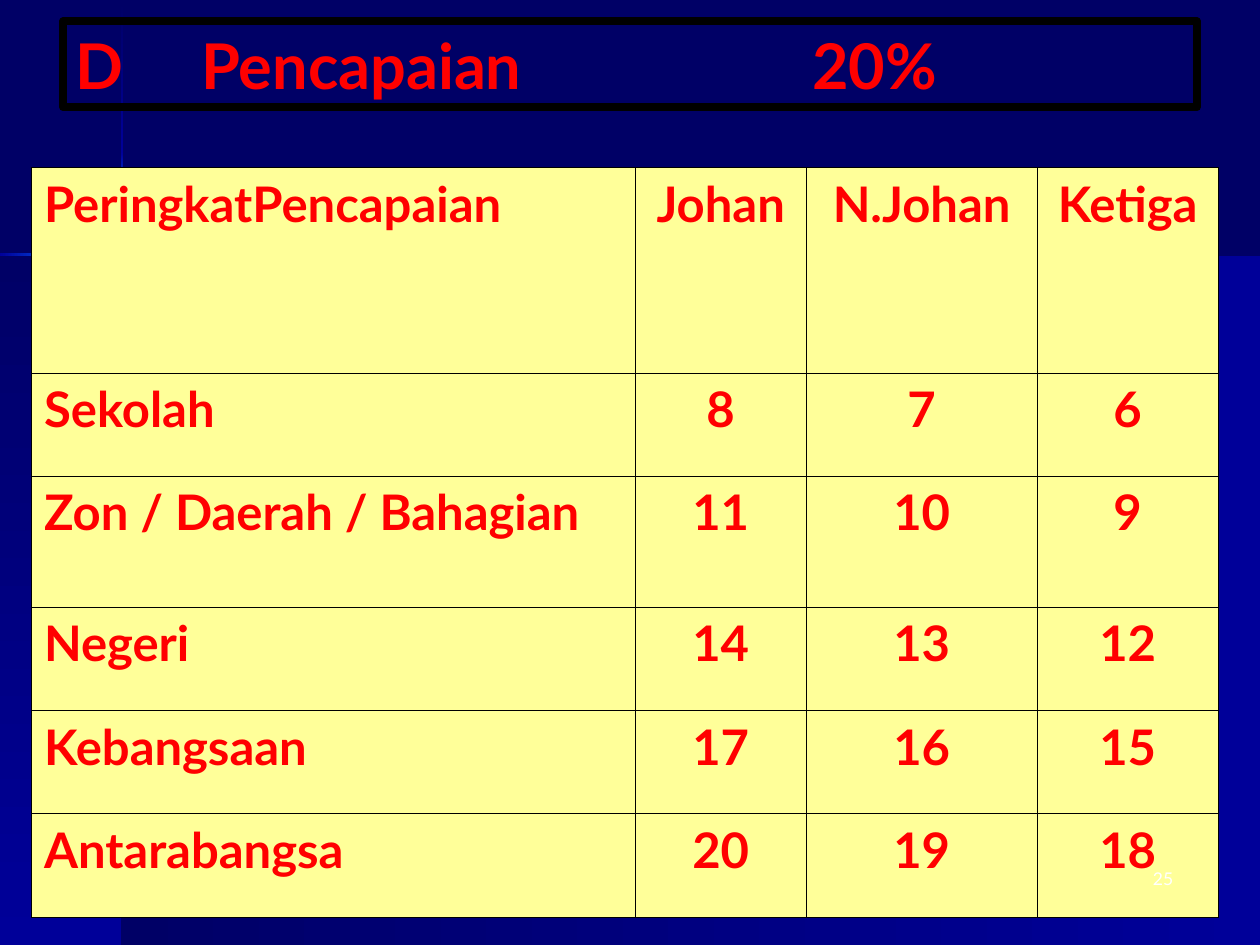
from dataclasses import dataclass

from lxml import etree
from pptx import Presentation
from pptx.dml.color import RGBColor
from pptx.enum.shapes import MSO_SHAPE
from pptx.enum.text import MSO_ANCHOR, PP_ALIGN
from pptx.oxml.ns import qn
from pptx.util import Inches, Pt

RECT = MSO_SHAPE.RECTANGLE
LEFT, CENTER, RIGHT = PP_ALIGN.LEFT, PP_ALIGN.CENTER, PP_ALIGN.RIGHT
MIDDLE = MSO_ANCHOR.MIDDLE
ACROSS, DOWN = 0, 90


@dataclass(frozen=True)
class Theme:
    font: str = "Lato"
    navy: str = "000066"
    blue: str = "000099"
    glow: str = "0066FF"
    spark: str = "FFFFCC"
    red: str = "FF0000"
    cream: str = "FFFF99"
    black: str = "000000"
    white: str = "FFFFFF"
    title: float = 36
    body: float = 28
    small: float = 10


THEME = Theme()

COLS = (4.79, 1.36, 1.83, 1.44)
ROWS = (1.63, 0.82, 1.04, 0.82, 0.82, 0.82)
SCORES = (
    ("PeringkatPencapaian", "Johan", "N.Johan", "Ketiga"),
    ("Sekolah", "8", "7", "6"),
    ("Zon / Daerah / Bahagian", "11", "10", "9"),
    ("Negeri", "14", "13", "12"),
    ("Kebangsaan", "17", "16", "15"),
    ("Antarabangsa", "20", "19", "18"),
)


def rgb(code):
    return RGBColor.from_string(code)


def add_node(parent, tag, **attrs):
    return etree.SubElement(parent, qn(tag), attrs)


def add_run(para, text, size, color, bold=True):
    run = para.add_run()
    run.text = text
    font = run.font
    font.name, font.size, font.bold = THEME.font, Pt(size), bold
    font.color.rgb = rgb(color)


def add_fade(slide, box, colors, angle):
    """Add a rectangle whose colours run evenly along the angle."""
    shape = slide.shapes.add_shape(RECT, *map(Inches, box))
    shape.shadow.inherit = False
    shape.line.fill.background()
    shape.fill.gradient()
    grad = shape.element.spPr.find(qn("a:gradFill"))
    for child in list(grad):
        grad.remove(child)
    stops = add_node(grad, "a:gsLst")
    for i, color in enumerate(colors):
        place = 100000 * i // (len(colors) - 1)
        stop = add_node(stops, "a:gs", pos=str(place))
        add_node(stop, "a:srgbClr", val=color)
    add_node(grad, "a:lin", ang=str(angle * 60000), scaled="0")


def add_backdrop(slide):
    t = THEME
    rise, fall = (t.navy, t.blue), (t.blue, t.navy)
    flare, fade = (t.blue, t.glow), (t.glow, t.blue)
    shine = (t.glow, t.spark, t.glow)
    add_fade(slide, (0.97, 2.02, 9.03, 5.48), rise, ACROSS)
    add_fade(slide, (0, 2.02, 0.97, 5.48), rise, DOWN)
    upright = ((0.01, 1.21, rise), (2.82, 4.68, fall), (2.38, 0.44, fade),
               (1.21, 0.44, flare), (1.65, 0.73, shine))
    for top, height, colors in upright:
        add_fade(slide, (0.96, top, 0.02, height), colors, DOWN)
    level = ((1.77, 8.23, fall), (0, 0.61, flare),
             (1.33, 0.44, fade), (0.6, 0.73, shine))
    for left, width, colors in level:
        add_fade(slide, (left, 2.01, width, 0.02), colors, ACROSS)


def add_title(slide):
    shape = slide.shapes.add_shape(RECT, *map(Inches, (0.5, 0.17, 9, 0.68)))
    shape.shadow.inherit = False
    shape.fill.background()
    shape.line.color.rgb = rgb(THEME.black)
    shape.line.width = Pt(4.5)
    frame = shape.text_frame
    frame.word_wrap = True
    frame.vertical_anchor = MIDDLE
    para = frame.paragraphs[0]
    para.alignment = LEFT
    tabs = add_node(para._p.get_or_add_pPr(), "a:tabLst")
    for stop in (1, 5.85):
        add_node(tabs, "a:tab", pos=str(Inches(stop)), algn="l")
    add_run(para, "D\tPencapaian\t20%", THEME.title, THEME.red)


def add_edges(cell):
    props = cell._tc.get_or_add_tcPr()
    for i, side in enumerate(("a:lnL", "a:lnR", "a:lnT", "a:lnB")):
        line = etree.Element(qn(side), w=str(Pt(0.45)))
        fill = add_node(line, "a:solidFill")
        add_node(fill, "a:srgbClr", val=THEME.black)
        props.insert(i, line)


def add_scores(slide):
    box = (0.25, 1.33, sum(COLS), sum(ROWS))
    frame = slide.shapes.add_table(len(ROWS), len(COLS), *map(Inches, box))
    table = frame.table
    table.first_row = table.horz_banding = False
    for col, width in zip(table.columns, COLS):
        col.width = Inches(width)
    for row, height, texts in zip(table.rows, ROWS, SCORES):
        row.height = Inches(height)
        for i, (cell, text) in enumerate(zip(row.cells, texts)):
            cell.fill.solid()
            cell.fill.fore_color.rgb = rgb(THEME.cream)
            add_edges(cell)
            para = cell.text_frame.paragraphs[0]
            para.alignment = CENTER if i else LEFT
            add_run(para, text, THEME.body, THEME.red)


def add_number(slide):
    box = slide.shapes.add_textbox(*map(Inches, (8.41, 6.82, 1, 0.3)))
    frame = box.text_frame
    frame.word_wrap = True
    frame.vertical_anchor = MIDDLE
    para = frame.paragraphs[0]
    para.alignment = RIGHT
    add_run(para, "25", THEME.small, THEME.white, bold=False)


def main():
    deck = Presentation()
    deck.slide_width, deck.slide_height = Inches(10), Inches(7.5)
    slide = deck.slides.add_slide(deck.slide_layouts[6])
    slide.background.fill.solid()
    slide.background.fill.fore_color.rgb = rgb(THEME.navy)
    add_backdrop(slide)
    add_title(slide)
    add_scores(slide)
    add_number(slide)
    deck.save("out.pptx")


if __name__ == "__main__":
    main()
